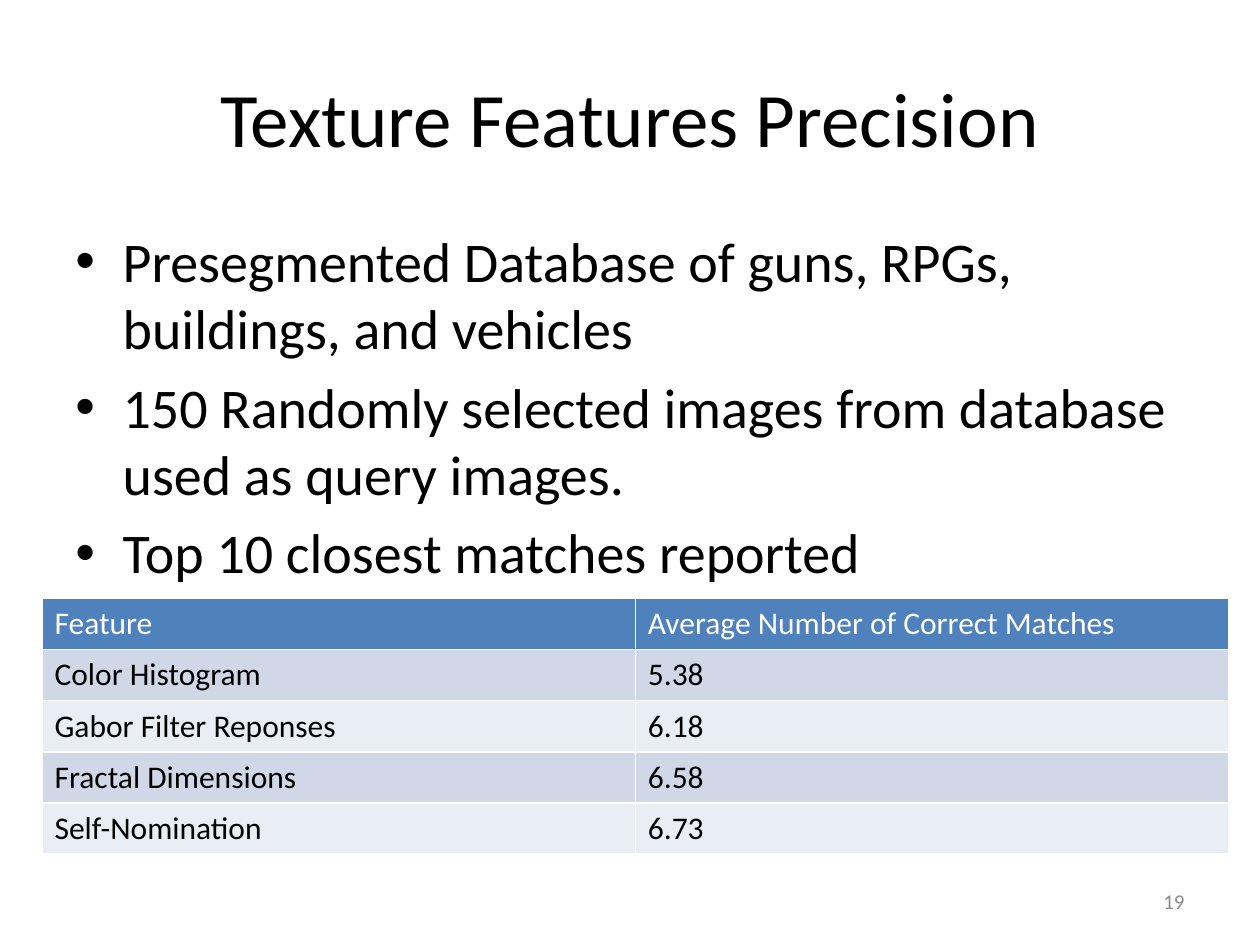
from lxml import etree
from pptx import Presentation
from pptx.dml.color import RGBColor
from pptx.enum.text import MSO_ANCHOR, PP_ALIGN
from pptx.oxml.ns import qn
from pptx.util import Pt

LEFT, CENTER, RIGHT = PP_ALIGN.LEFT, PP_ALIGN.CENTER, PP_ALIGN.RIGHT
TOP, MIDDLE = MSO_ANCHOR.TOP, MSO_ANCHOR.MIDDLE

BLACK = RGBColor(0x00, 0x00, 0x00)
WHITE = RGBColor(0xFF, 0xFF, 0xFF)
GRAY = RGBColor(0x8C, 0x8C, 0x8C)
HEADER_BLUE = RGBColor(0x4F, 0x81, 0xBD)
BAND_FILLS = (RGBColor(0xD0, 0xD8, 0xE8), RGBColor(0xE9, 0xED, 0xF4))

BULLETS = [
    "Presegmented Database of guns, RPGs, buildings, and vehicles",
    "150 Randomly selected images from database used as query images.",
    "Top 10 closest matches reported",
]
MATCHES = [
    ("Feature", "Average Number of Correct Matches"),
    ("Color Histogram", "5.38"),
    ("Gabor Filter Reponses", "6.18"),
    ("Fractal Dimensions", "6.58"),
    ("Self-Nomination", "6.73"),
]


class SlideBuilder:
    FONT = "Calibri"
    BULLET_INDENT = Pt(27)

    def __init__(self, page):
        self.page = page

    def style(self, para, size, color):
        para.font.name = self.FONT
        para.font.size = Pt(size)
        para.font.bold = False
        para.font.color.rgb = color

    def bullet(self, para):
        properties = para._p.get_or_add_pPr()
        properties.set("marL", str(self.BULLET_INDENT))
        properties.set("indent", str(-self.BULLET_INDENT))
        etree.SubElement(properties, qn("a:buFont")).set("typeface", "Arial")
        etree.SubElement(properties, qn("a:buChar")).set("char", "•")

    def text(self, area, lines, size, color=BLACK, align=LEFT, anchor=TOP,
             bulleted=False):
        box = self.page.shapes.add_textbox(*map(Pt, area))
        frame = box.text_frame
        frame.word_wrap = True
        frame.vertical_anchor = anchor
        for index, line in enumerate(lines):
            para = frame.add_paragraph() if index else frame.paragraphs[0]
            para.text = line
            para.alignment = align
            if bulleted:
                self.bullet(para)
            if index:
                para.space_before = Pt(size * 0.2)
            self.style(para, size, color)

    def table(self, area, rows, size):
        table = self.page.shapes.add_table(
            len(rows), len(rows[0]), *map(Pt, area)).table
        for row_index, values in enumerate(rows):
            is_header = row_index == 0
            fill = HEADER_BLUE if is_header else BAND_FILLS[(row_index - 1) % 2]
            for column_index, value in enumerate(values):
                cell = table.cell(row_index, column_index)
                cell.fill.solid()
                cell.fill.fore_color.rgb = fill
                cell.text = value
                self.style(cell.text_frame.paragraphs[0], size,
                           WHITE if is_header else BLACK)


def main():
    deck = Presentation()
    deck.slide_width, deck.slide_height = Pt(720), Pt(540)
    builder = SlideBuilder(deck.slides.add_slide(deck.slide_layouts[6]))

    # Title and bullet list
    builder.text((36, 21.6, 648, 90), ["Texture Features Precision"], 44,
                 align=CENTER, anchor=MIDDLE)
    builder.text((36, 126, 648, 356.4), BULLETS, 32, bulleted=True)

    # Results table
    builder.table((24, 342, 678, 146), MATCHES, 18)

    # Page number
    builder.text((516, 500.5, 168, 28.75), ["19"], 12, GRAY, RIGHT, MIDDLE)

    deck.save("out.pptx")


if __name__ == "__main__":
    main()
